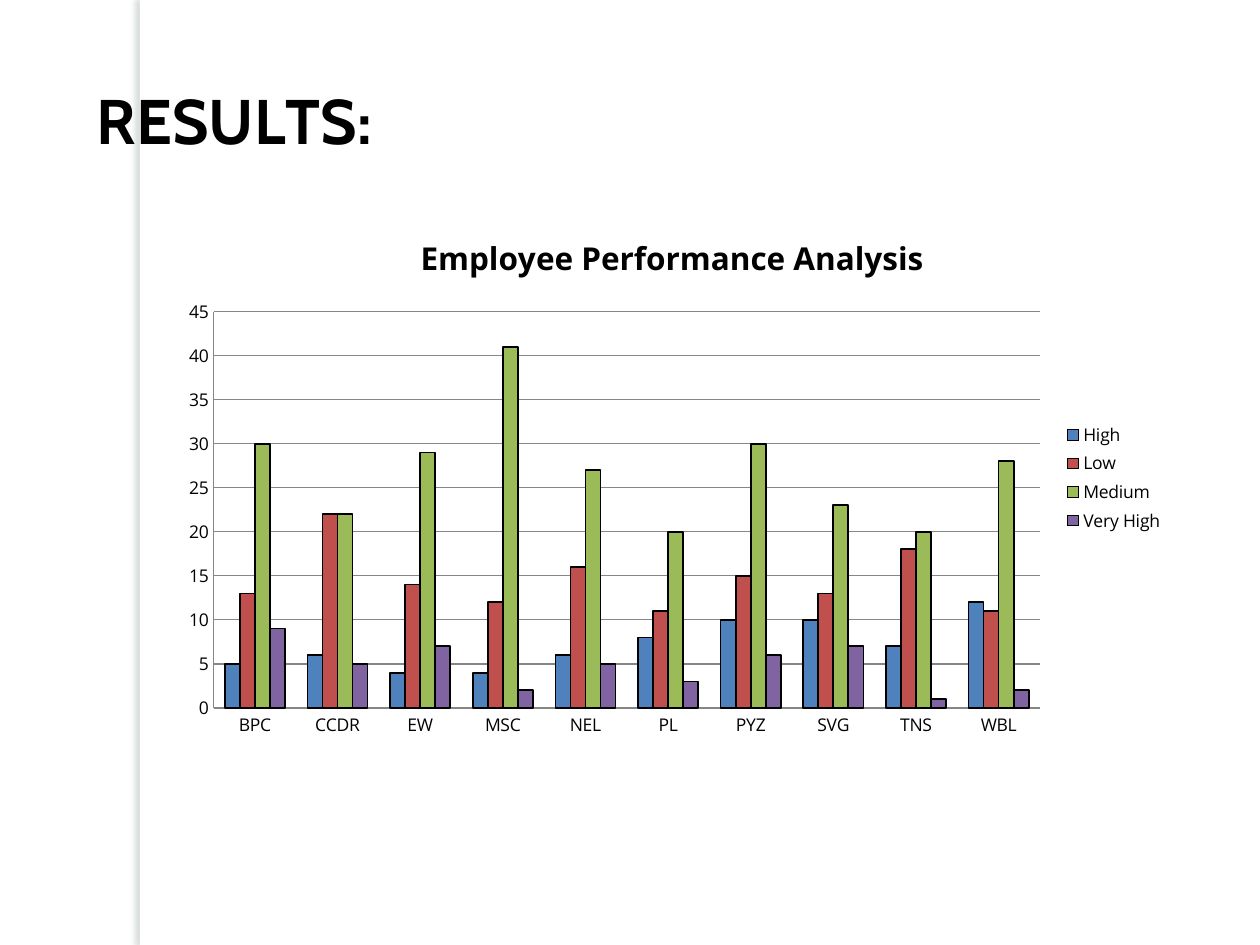
from lxml import etree
from pptx import Presentation
from pptx import util as u
from pptx.chart.data import CategoryChartData
from pptx.dml.color import RGBColor
from pptx.enum import chart as charts, shapes, text
from pptx.oxml import parse_xml
from pptx.oxml.ns import nsdecls, qn

BLACK = RGBColor(0x00, 0x00, 0x00)
WHITE = RGBColor(0xFF, 0xFF, 0xFF)
GREY = RGBColor(0x86, 0x86, 0x86)
BLUE = RGBColor(0x4F, 0x81, 0xBD)
RED = RGBColor(0xC0, 0x50, 0x4D)
GREEN = RGBColor(0x9B, 0xBB, 0x59)
PURPLE = RGBColor(0x80, 0x64, 0xA2)
SHADOW = RGBColor(0x6E, 0x7A, 0x7D)

TITLE_RUNS = [("R", 0), ("E", -0.4), ("S", 0.1), ("U", -0.3), ("L", -4), ("TS:", 0)]
DEPARTMENTS = ["BPC", "CCDR", "EW", "MSC", "NEL", "PL", "PYZ", "SVG", "TNS", "WBL"]
RATINGS = [
    ("High", BLUE, (5, 6, 4, 4, 6, 8, 10, 10, 7, 12)),
    ("Low", RED, (13, 22, 14, 12, 16, 11, 15, 13, 18, 11)),
    ("Medium", GREEN, (30, 22, 29, 41, 27, 20, 30, 23, 20, 28)),
    ("Very High", PURPLE, (9, 5, 7, 2, 5, 3, 6, 7, 1, 2)),
]
PLOT_AREA = {"x": 0.045, "y": 0.19, "w": 0.82, "h": 0.74}


def apply(target, values):
    for name, value in values.items():
        setattr(target, name, value)


def format_font(font, name, size, bold=False):
    apply(font, {"name": name, "size": u.Pt(size), "bold": bold})
    font.color.rgb = BLACK


def format_line(line, color, width):
    line.color.rgb = color
    line.width = u.Pt(width)


def add_side_strip(slide):
    strip = slide.shapes.add_shape(
        shapes.MSO_SHAPE.RECTANGLE, u.Cm(2.82), 0, u.Cm(0.2), u.Cm(19.05))
    strip.fill.solid()
    strip.fill.fore_color.rgb = WHITE
    strip.line.fill.background()
    strip._element.spPr.append(parse_xml(
        f'<a:effectLst {nsdecls("a")}><a:outerShdw blurRad="{u.Pt(3)}" dist="{u.Pt(3)}" '
        f'dir="10800000" algn="ctr" rotWithShape="0"><a:srgbClr val="{SHADOW}">'
        '<a:alpha val="25000"/></a:srgbClr></a:outerShdw></a:effectLst>'))
    slide.shapes._spTree.insert(2, strip._element)


def add_title(slide):
    title = slide.shapes.title
    apply(title, {"left": u.Cm(1.7), "top": u.Cm(1.47),
                  "width": u.Cm(7.42), "height": u.Cm(1.8)})
    apply(title.text_frame, {
        "word_wrap": True,
        "auto_size": text.MSO_AUTO_SIZE.SHAPE_TO_FIT_TEXT,
        "vertical_anchor": text.MSO_ANCHOR.TOP,
        "margin_top": u.Cm(0.18),
        "margin_bottom": u.Cm(0.07),
    })
    paragraph = title.text_frame.paragraphs[0]
    paragraph.alignment = text.PP_ALIGN.LEFT
    for letters, spacing in TITLE_RUNS:
        run = paragraph.add_run()
        run.text = letters
        format_font(run.font, "Cabin", 36, True)
        run._r.get_or_add_rPr().set("spc", str(round(spacing * 100)))


def place_plot_area(plot_area):
    for old in plot_area.findall(qn("c:layout")):
        plot_area.remove(old)
    layout = parse_xml(f'<c:layout {nsdecls("c")}><c:manualLayout/></c:layout>')
    manual = layout[0]
    settings = {"layoutTarget": "inner", "xMode": "edge", "yMode": "edge", **PLOT_AREA}
    for name, value in settings.items():
        etree.SubElement(manual, qn(f"c:{name}")).set("val", str(value))
    plot_area.insert(0, layout)


def fill_white(element, before):
    fill = parse_xml(
        f'<c:spPr {nsdecls("c", "a")}><a:solidFill><a:srgbClr val="{WHITE}"/></a:solidFill>'
        '<a:ln><a:noFill/></a:ln></c:spPr>')
    following = element.find(qn(before)) if before else None
    if following is None:
        element.append(fill)
    else:
        following.addprevious(fill)


def format_axis(axis):
    apply(axis, {"major_tick_mark": charts.XL_TICK_MARK.NONE,
                 "minor_tick_mark": charts.XL_TICK_MARK.NONE})
    format_font(axis.tick_labels.font, "Open Sans", 10)
    format_line(axis.format.line, GREY, 0.75)


def add_performance_chart(slide):
    data = CategoryChartData()
    data.categories = DEPARTMENTS
    for name, _, values in RATINGS:
        data.add_series(name, values)
    chart = slide.shapes.add_chart(
        charts.XL_CHART_TYPE.COLUMN_CLUSTERED,
        u.Cm(3.39), u.Cm(4.23), u.Cm(20.32), u.Cm(10.8), data).chart
    format_font(chart.font, "Open Sans", 10)

    chart.has_title = True
    heading = chart.chart_title.text_frame
    heading.text = "Employee Performance Analysis"
    format_font(heading.paragraphs[0].runs[0].font, "Open Sans", 18, True)
    chart.chart_title.include_in_layout = False

    chart.has_legend = True
    apply(chart.legend, {"position": charts.XL_LEGEND_POSITION.RIGHT,
                         "include_in_layout": False})
    format_font(chart.legend.font, "Open Sans", 10)

    format_axis(chart.category_axis)
    format_axis(chart.value_axis)
    apply(chart.value_axis, {"minimum_scale": 0, "maximum_scale": 45, "major_unit": 5})
    format_line(chart.value_axis.major_gridlines.format.line, GREY, 0.75)

    plot = chart.plots[0]
    apply(plot, {"gap_width": 150, "overlap": 0, "vary_by_categories": False})
    for series, (_, color, _) in zip(plot.series, RATINGS):
        series.format.fill.solid()
        series.format.fill.fore_color.rgb = color
        format_line(series.format.line, BLACK, 1)

    chart_space = chart._chartSpace
    plot_area = chart_space.chart.plotArea
    place_plot_area(plot_area)
    fill_white(plot_area, None)
    fill_white(chart_space, "c:txPr")


def main():
    presentation = Presentation()
    apply(presentation, {"slide_width": u.Cm(25.4), "slide_height": u.Cm(19.05)})
    slide = presentation.slides.add_slide(presentation.slide_layouts[5])
    slide.background.fill.solid()
    slide.background.fill.fore_color.rgb = WHITE
    add_side_strip(slide)
    add_title(slide)
    add_performance_chart(slide)
    presentation.save("out.pptx")


if __name__ == "__main__":
    main()
